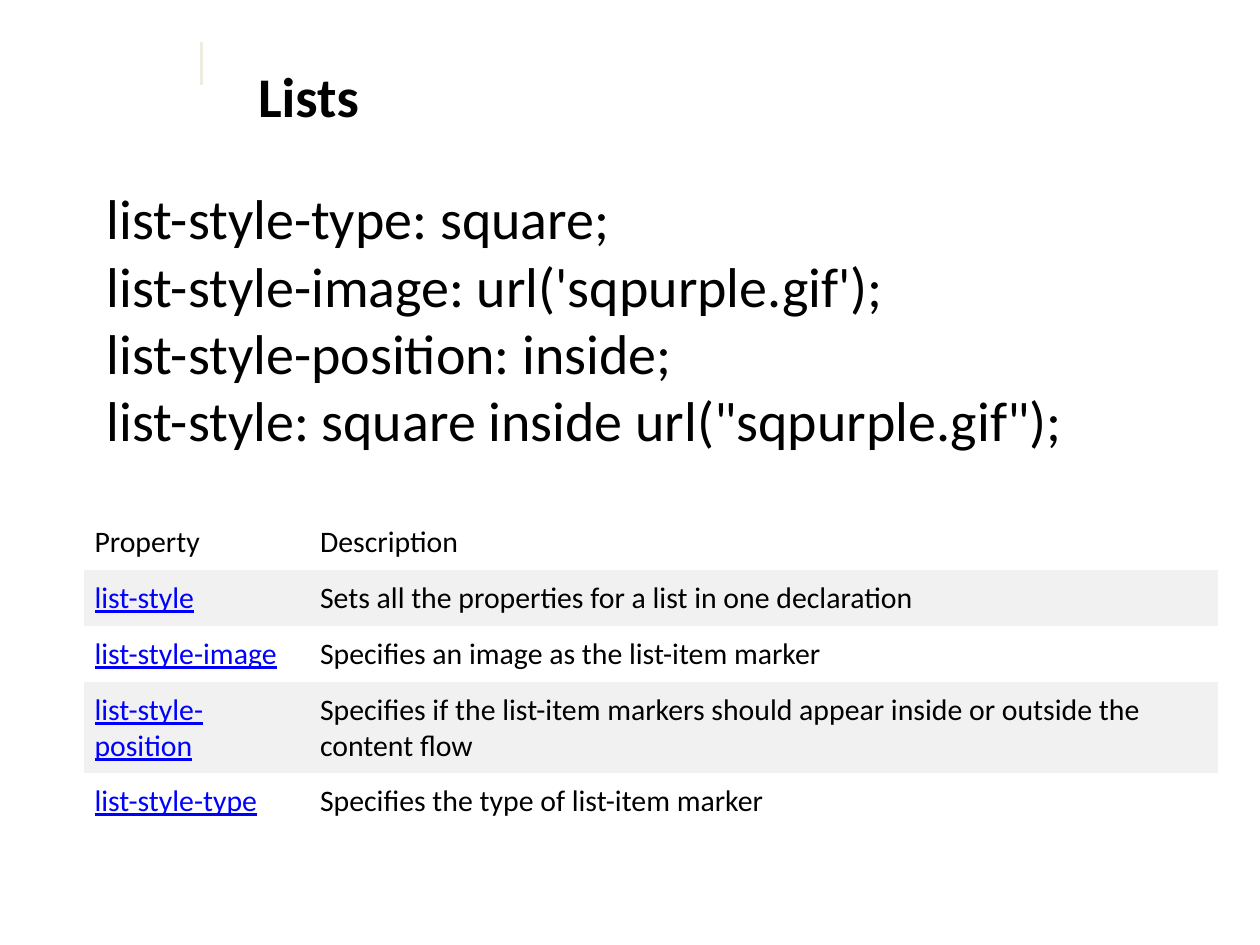
from dataclasses import dataclass

from pptx import Presentation
from pptx import util as u
from pptx.dml.color import RGBColor
from pptx.enum import shapes, text
from pptx.oxml import ns
from lxml import etree

WIDTH, HEIGHT = 10, 7.5
NO_STYLE_NO_GRID = "{2D5ABB26-0587-4C30-8999-92F81FD0307C}"
DECLARATIONS = [
    "list-style-type: square;",
    "list-style-image: url('sqpurple.gif');",
    "list-style-position: inside;",
    "list-style: square inside url(\"sqpurple.gif\");",
]
PROPERTIES = [
    ("Property", "Description"),
    ("list-style", "Sets all the properties for a list in one declaration"),
    ("list-style-image", "Specifies an image as the list-item marker"),
    ("list-style-position", "Specifies if the list-item markers should appear "
                            "inside or outside the content flow"),
    ("list-style-type", "Specifies the type of list-item marker"),
]


@dataclass(frozen=True)
class Theme:
    """Colours and type sizes of the slide."""
    font: str = "Calibri"
    ink: str = "000000"
    link: str = "0000FF"
    rule: str = "EEECE1"
    bands: tuple = ("FFFFFF", "F1F1F1")
    large: int = 32
    small: int = 17


THEME = Theme()


def across(share):
    """Return a share of the slide's width."""
    return u.Inches(WIDTH * share)


def down(share):
    """Return a share of the slide's height."""
    return u.Inches(HEIGHT * share)


def style_paragraph(paragraph, size, color=THEME.ink, bold=False, underline=False):
    """Set the font of a whole paragraph."""
    font = paragraph.font
    font.name, font.size = THEME.font, u.Pt(size)
    font.bold, font.underline = bold, underline
    font.color.rgb = RGBColor.from_string(color)


def add_rule(slide, x, top, bottom):
    """Draw a thin vertical line without shadow."""
    line = slide.shapes.add_connector(
        shapes.MSO_CONNECTOR.STRAIGHT, across(x), down(bottom), across(x), down(top))
    line.line.color.rgb = RGBColor.from_string(THEME.rule)
    line.line.width = u.Pt(1.5)
    etree.SubElement(line.element.spPr, ns.qn("a:effectLst"))


def add_text(slide, left, top, width, height, lines, bold=False):
    """Add a wrapped text box with one paragraph per line."""
    box = slide.shapes.add_textbox(across(left), down(top), across(width), down(height))
    frame = box.text_frame
    frame.word_wrap = True
    frame.auto_size = text.MSO_AUTO_SIZE.SHAPE_TO_FIT_TEXT
    frame.text = "\n".join(lines)
    for paragraph in frame.paragraphs:
        style_paragraph(paragraph, THEME.large, bold=bold)


def fill_cell(cell, content, band, is_link):
    """Write one table cell on its band colour."""
    cell.text = content
    cell.fill.solid()
    cell.fill.fore_color.rgb = RGBColor.from_string(band)
    cell.margin_left = cell.margin_right = u.Inches(0.08)
    cell.margin_top = cell.margin_bottom = u.Inches(0.08)
    style_paragraph(cell.text_frame.paragraphs[0], THEME.small,
                    THEME.link if is_link else THEME.ink, underline=is_link)


def add_property_table(slide, left, top, columns, row, tall_row):
    """Add the banded table, its fourth row tall enough for two lines."""
    heights = [tall_row if index == 3 else row for index in range(len(PROPERTIES))]
    frame = slide.shapes.add_table(
        len(PROPERTIES), len(columns), across(left), down(top),
        across(sum(columns)), down(sum(heights)))
    table = frame.table
    table.first_row = table.horz_banding = False
    next(frame.element.iter(ns.qn("a:tableStyleId"))).text = NO_STYLE_NO_GRID
    for column, width in zip(table.columns, columns):
        column.width = across(width)
    for r, contents in enumerate(PROPERTIES):
        table.rows[r].height = down(heights[r])
        for c, content in enumerate(contents):
            fill_cell(table.cell(r, c), content, THEME.bands[r % 2], r > 0 and c == 0)


def main():
    """Build the slide about list properties."""
    presentation = Presentation()
    presentation.slide_width, presentation.slide_height = across(1), down(1)
    slide = presentation.slides.add_slide(presentation.slide_layouts[6])
    add_rule(slide, 0.16, 0.044, 0.09)
    add_text(slide, 0.195, 0.059, 0.426, 0.085, ["Lists"], bold=True)
    add_text(slide, 0.075, 0.188, 0.867, 0.301, DECLARATIONS)
    add_property_table(slide, 0.067, 0.544, (0.179, 0.721), 0.059, 0.097)
    presentation.save("out.pptx")


if __name__ == "__main__":
    main()
